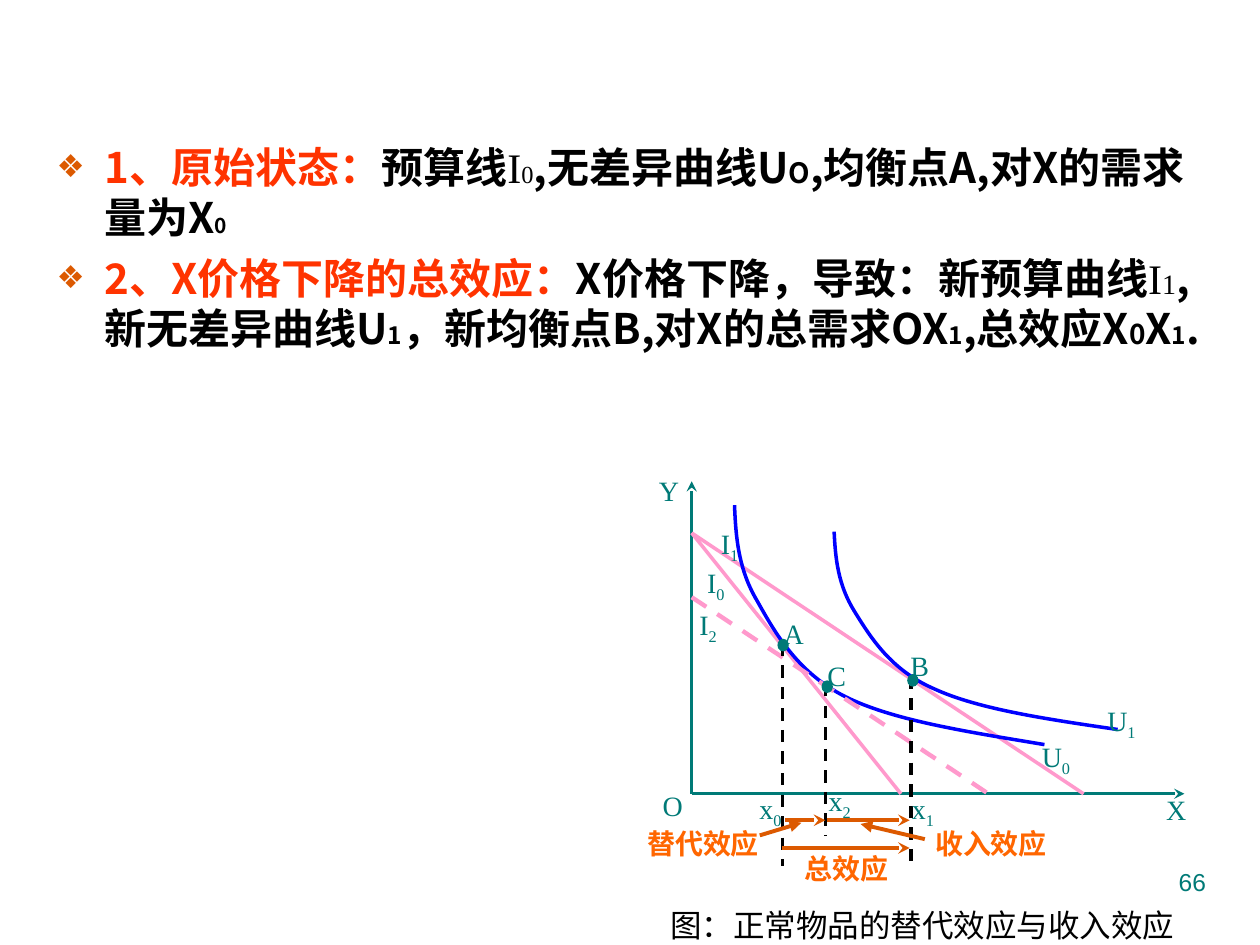
import pptx
import pptx.dml.color
import pptx.enum.dml
import pptx.enum.shapes
import pptx.enum.text
import pptx.oxml.ns
import pptx.util
from lxml import etree

Inches = pptx.util.Inches
Pt = pptx.util.Pt
qn = pptx.oxml.ns.qn
ALIGN = pptx.enum.text.PP_ALIGN

CJK, SERIF, SANS = "Noto Sans CJK SC", "Times New Roman", "Arial"
TEAL, PINK, BLUE, ORANGE = "007A77", "FF99CC", "0000FF", "DC5900"
RED, LABEL, BLACK = "FF3300", "FF6600", "000000"


def rgb(value):
    return pptx.dml.color.RGBColor.from_string(value)


def add_run(p, text, size=16, font=SERIF, color=TEAL, bold=False, base=0):
    r = p.add_run()
    r.text = text
    r.font.size, r.font.name, r.font.bold = Pt(size), font, bold
    r.font.color.rgb = rgb(color)
    rPr = r.font._element
    if base:
        rPr.set("baseline", str(base * 1000))
    ea = etree.Element(qn("a:ea"), typeface=CJK)
    rPr.find(qn("a:latin")).addnext(ea)


class Builder:
    def __init__(self, slide):
        self.s = slide

    def body(self, x, y, w, h, paragraphs):
        sp = self.s.placeholders[1]
        sp.left, sp.top, sp.width, sp.height = map(Inches, (x, y, w, h))
        tf = sp.text_frame
        tf.auto_size = pptx.enum.text.MSO_AUTO_SIZE.NONE
        for i, (before, runs) in enumerate(paragraphs):
            p = tf.paragraphs[0] if i == 0 else tf.add_paragraph()
            p.line_spacing, p.space_before = 1.0, Pt(before)
            pPr = p._p.get_or_add_pPr()
            pPr.set("marL", str(Inches(0.38)))
            pPr.set("indent", str(-Inches(0.38)))
            clr = etree.SubElement(pPr, qn("a:buClr"))
            etree.SubElement(clr, qn("a:srgbClr"), val=ORANGE)
            etree.SubElement(pPr, qn("a:buSzPct"), val="75000")
            etree.SubElement(pPr, qn("a:buFont"), typeface=SANS)
            etree.SubElement(pPr, qn("a:buChar"), char="❖")
            for text, fmt in runs:
                add_run(p, text, **{**BODY, **fmt})

    def text(self, x, y, w, h, text, sub="", inset=(0.06, 0.04),
             align=ALIGN.CENTER, **fmt):
        tf = self.s.shapes.add_textbox(*map(Inches, (x, y, w, h))).text_frame
        tf.word_wrap = True
        tf.margin_left = tf.margin_right = Inches(inset[0])
        tf.margin_top = tf.margin_bottom = Inches(inset[1])
        p = tf.paragraphs[0]
        p.alignment = align
        add_run(p, text, **fmt)
        if sub:
            add_run(p, sub, base=-25, **fmt)

    def line(self, x1, y1, x2, y2, color, width, dash=False, head=None):
        kind = pptx.enum.shapes.MSO_CONNECTOR.STRAIGHT
        sp = self.s.shapes.add_connector(kind, *map(Inches, (x1, y1, x2, y2)))
        sp.line.color.rgb, sp.line.width = rgb(color), Pt(width)
        if dash:
            sp.line.dash_style = pptx.enum.dml.MSO_LINE.DASH
        if head:
            etree.SubElement(sp.line._get_or_add_ln(), qn("a:tailEnd"), type=head)
        etree.SubElement(sp._element.spPr, qn("a:effectLst"))

    def curve(self, points, color, width):
        emu = [(Inches(x), Inches(y)) for x, y in points]
        fb = self.s.shapes.build_freeform(*emu[0])
        fb.add_line_segments(emu[1:], close=False)
        sp = fb.convert_to_shape()
        # Turn each three straight segments into one cubic segment
        segments = list(sp._element.iter(qn("a:lnTo")))
        for i in range(0, len(segments), 3):
            cubic = etree.Element(qn("a:cubicBezTo"))
            segments[i].addprevious(cubic)
            for seg in segments[i:i + 3]:
                cubic.append(seg[0])
                seg.getparent().remove(seg)
        sp.shadow.inherit = False
        sp.fill.background()
        sp.line.color.rgb, sp.line.width = rgb(color), Pt(width)

    def dot(self, x, y):
        kind = pptx.enum.shapes.MSO_SHAPE.OVAL
        sp = self.s.shapes.add_shape(kind, *map(Inches, (x, y, 0.09, 0.1)))
        sp.shadow.inherit = False
        sp.fill.solid()
        sp.fill.fore_color.rgb = rgb(TEAL)
        sp.line.fill.background()


# Body run formats
BODY = dict(size=24, font=CJK, color=BLACK, bold=True)
HEAD = dict(color=RED)
ROMAN = dict(font=SERIF, bold=False)


def small(size, **fmt):
    return dict(size=size, **fmt)


PARAGRAPHS = [
    (3, [("1、原始状态：", HEAD), ("预算线", {}), ("I", ROMAN),
         ("0", small(14, **ROMAN)), (",无差异曲线U", {}), ("O", small(16)),
         (",均衡点A,对X的需求量为X", {}), ("0", small(12))]),
    (6, [("2、X价格下降的总效应：", HEAD), ("X价格下降，导致：新预算曲线", {}),
         ("I", ROMAN), ("1", small(16, **ROMAN)), (",新无差异曲线U", {}),
         ("1", small(14)), ("，新均衡点B,对X的总需求OX", {}), ("1", small(14)),
         (",总效应X", {}), ("0", small(16)), ("X", {}), ("1", small(14)),
         (".", {})]),
]


def main():
    prs = pptx.Presentation()
    prs.slide_width, prs.slide_height = Inches(10), Inches(7.5)
    s = prs.slides.add_slide(prs.slide_layouts[1])
    title = s.shapes.title._element
    title.getparent().remove(title)
    b = Builder(s)

    b.body(0.35, 1.07, 9.34, 5.6, PARAGRAPHS)
    b.text(4.92, 7.14, 4.8, 0.36, "图：正常物品的替代效应与收入效应",
           inset=(0.1, 0.05), size=18, color=BLACK)

    # Axes
    ox, oy = 5.49, 6.3
    b.line(ox, oy, ox, 3.82, TEAL, 1.5, head="stealth")
    b.line(ox, oy, 9.4, oy, TEAL, 1.5, head="stealth")

    # Budget lines I0 and I1, indifference curves U0 and U1, then I2
    for x in (7.15, 8.6):
        b.line(ox, 4.23, x, oy, PINK, 2)
    b.curve([(5.83, 4.01), (5.84, 4.26), (5.86, 4.52), (6.01, 4.77),
             (6.15, 5.02), (6.33, 5.34), (6.71, 5.53),
             (7.09, 5.72), (7.69, 5.81), (8.29, 5.91)], BLUE, 2)
    b.curve([(6.62, 4.22), (6.63, 4.43), (6.65, 4.64), (6.78, 4.85),
             (6.91, 5.06), (7.07, 5.32), (7.42, 5.47),
             (7.77, 5.63), (8.32, 5.71), (8.87, 5.79)], BLUE, 2)
    b.line(ox, 4.74, 7.83, 6.29, PINK, 2.5, dash=True)

    # Drop lines from the equilibrium points
    for x, top, bottom in ((6.21, 5.11, 6.87), (6.55, 5.43, 6.63), (7.23, 5.37, 6.87)):
        b.line(x, top, x, bottom, BLACK, 1.75, dash=True)

    # Axis, point and curve labels
    for x, y, text, sub in (
            (5.1, 6.22, "O", ""), (9.1, 6.25, "X", ""), (5.07, 3.72, "Y", ""),
            (6.06, 4.85, "A", ""), (7.06, 5.11, "B", ""), (6.4, 5.19, "C", ""),
            (8.14, 5.83, "U", "0"), (8.66, 5.54, "U", "1"),
            (5.44, 4.45, "I", "0"), (5.55, 4.14, "I", "1"), (5.38, 4.78, "I", "2"),
            (5.88, 6.24, "x", "0"), (7.09, 6.24, "x", "1"), (6.43, 6.18, "x", "2")):
        b.text(x, y, 0.47 if text in "Xx" else 0.48, 0.34, text, sub)

    # Effect arrows and pointers
    for x1, x2, y in ((6.23, 6.55, 6.51), (6.56, 7.22, 6.51), (6.21, 7.22, 6.73)):
        b.line(x1, y, x2, y, ORANGE, 2.25, head="stealth")
    b.line(6.03, 6.63, 6.36, 6.53, ORANGE, 2.25, head="triangle")
    b.line(7.34, 6.66, 6.83, 6.54, ORANGE, 2.25, head="triangle")
    for x, y, w, text in ((5.07, 6.52, 1.02, "替代效应"),
                          (7.31, 6.52, 1.11, "收入效应"),
                          (6.32, 6.72, 0.8, "总效应")):
        b.text(x, y, w, 0.34, text, color=LABEL, bold=True)

    # Equilibrium points A, B, C
    for x, y in ((6.17, 5.07), (7.2, 5.35), (6.52, 5.4)):
        b.dot(x, y)

    # Page number
    b.text(7.17, 6.83, 2.5, 0.52, "66", inset=(0.1, 0.05),
           align=ALIGN.RIGHT, size=14, font=SANS)
    prs.save("out.pptx")


if __name__ == "__main__":
    main()
